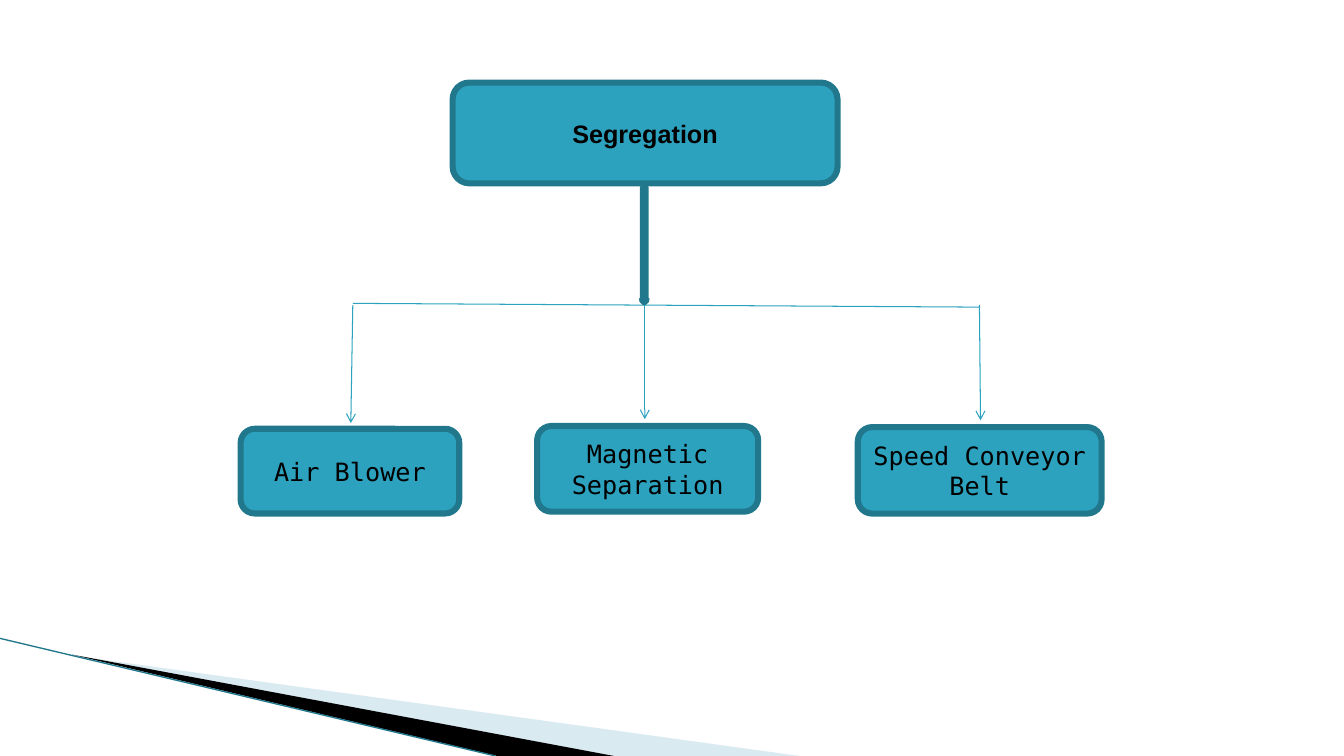
"""Build the segregation flow chart slide."""
import dataclasses

import lxml.etree
import pptx
import pptx.dml.color
import pptx.enum.shapes
import pptx.enum.text
import pptx.oxml.ns
import pptx.util

Pt = pptx.util.Pt
Shapes = pptx.enum.shapes.MSO_SHAPE


@dataclasses.dataclass(frozen=True)
class Theme:
    teal: str = "2DA2BF"
    dark_teal: str = "21788D"
    pale_blue: str = "A0CBDC"
    black: str = "000000"
    heading_font: str = "Arial"
    body_font: str = "DejaVu Sans Mono"
    text_size: float = 18
    border: float = 4.33
    thin: float = 0.75
    edge: float = 0.95


THEME = Theme()


def rgb(value):
    return pptx.dml.color.RGBColor.from_string(value)


def apply_format(target, values):
    for name, value in values.items():
        setattr(target, name, value)


def add_xml(parent, tag, **attributes):
    return lxml.etree.SubElement(parent, pptx.oxml.ns.qn(tag), attributes)


def add_block(slide, kind, left, top, width, height):
    shape = slide.shapes.add_shape(kind, Pt(left), Pt(top), Pt(width), Pt(height))
    shape.shadow.inherit = False
    shape.fill.solid()
    shape.fill.fore_color.rgb = rgb(THEME.teal)
    shape.line.color.rgb = rgb(THEME.dark_teal)
    shape.line.width = Pt(THEME.border)
    return shape


def add_box(slide, text, left, top, width, height, font_name=THEME.body_font, bold=False):
    shape = add_block(slide, Shapes.ROUNDED_RECTANGLE, left, top, width, height)
    apply_format(shape.text_frame, {
        "word_wrap": True,
        "vertical_anchor": pptx.enum.text.MSO_ANCHOR.MIDDLE,
    })
    paragraph = shape.text_frame.paragraphs[0]
    paragraph.alignment = pptx.enum.text.PP_ALIGN.CENTER
    run = paragraph.add_run()
    run.text = text
    apply_format(run.font, {"name": font_name, "size": Pt(THEME.text_size), "bold": bold})
    run.font.color.rgb = rgb(THEME.black)


def add_line(slide, start, end, color=THEME.teal, width=THEME.thin, arrow=False):
    connector = slide.shapes.add_connector(
        pptx.enum.shapes.MSO_CONNECTOR.STRAIGHT, *map(Pt, start + end))
    connector.line.color.rgb = rgb(color)
    connector.line.width = Pt(width)
    if arrow:
        add_xml(connector.line._get_or_add_ln(), "a:tailEnd", type="arrow")
    add_xml(connector._element.spPr, "a:effectLst")


def add_wedge(slide, points, color, opacity=100):
    corners = [(Pt(x), Pt(y)) for x, y in points]
    builder = slide.shapes.build_freeform(*corners[0])
    builder.add_line_segments(corners[1:], close=True)
    shape = builder.convert_to_shape()
    shape.shadow.inherit = False
    shape.fill.solid()
    shape.fill.fore_color.rgb = rgb(color)
    shape.line.fill.background()
    if opacity < 100:
        fill_color = shape._element.spPr.find(".//" + pptx.oxml.ns.qn("a:srgbClr"))
        add_xml(fill_color, "a:alpha", val=str(opacity * 1000))


def add_corner_decoration(slide):
    add_wedge(slide, [(52.6, 468.4), (571, 540), (437.8, 540)], THEME.pale_blue, 40)
    add_wedge(slide, [(51.5, 467.6), (438.5, 540), (355, 540)], THEME.black)
    add_line(slide, (0, 456), (354, 540), THEME.dark_teal, THEME.edge)


def main():
    presentation = pptx.Presentation()
    apply_format(presentation, {"slide_width": Pt(960), "slide_height": Pt(540)})
    slide = presentation.slides.add_slide(presentation.slide_layouts[6])
    add_corner_decoration(slide)

    add_box(slide, "Segregation", 323.3, 59, 275, 72, THEME.heading_font, True)
    add_line(slide, (700.2, 219.4), (252, 216.7))
    for start, end in [
        ((252, 218), (250.6, 302.2)),
        ((460.6, 212), (460.6, 299.4)),
        ((699.6, 218), (700.4, 300.2)),
    ]:
        add_line(slide, start, end, arrow=True)
    for text, left, top, width, height in [
        ("Air Blower", 171.9, 306.3, 156.2, 60.5),
        ("Magnetic Separation", 383.7, 304.3, 157.9, 61.2),
        ("Speed Conveyor Belt", 612.7, 305.1, 174.2, 61.8),
    ]:
        add_box(slide, text, left, top, width, height)
    add_block(slide, Shapes.DOWN_ARROW, 458.4, 133.8, 3.6, 82.2)

    presentation.save("out.pptx")


if __name__ == "__main__":
    main()
